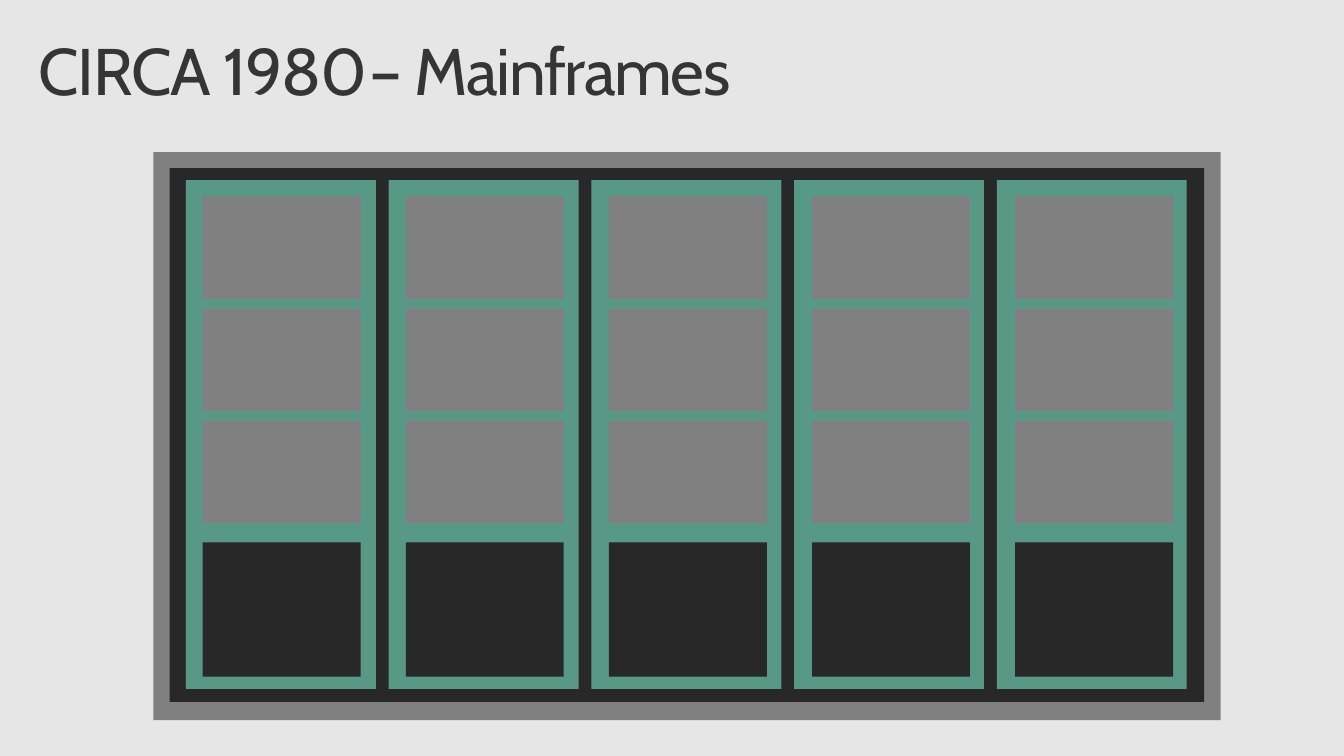
from pptx import Presentation
from pptx.dml.color import RGBColor
from pptx.enum.shapes import MSO_SHAPE
from pptx.util import Cm, Pt

RECTANGLE = MSO_SHAPE.RECTANGLE
BACKGROUND = RGBColor(0xE6, 0xE6, 0xE6)
INK = RGBColor(0x35, 0x35, 0x35)
GREY = RGBColor(0x80, 0x80, 0x80)
BLACK = RGBColor(0x28, 0x28, 0x28)
GREEN = RGBColor(0x57, 0x99, 0x85)

CABINETS = 5
DRIVES = 3


def add_title_part(page, text, left, top, width, height):
    box = page.shapes.add_textbox(Cm(left), Cm(top), Cm(width), Cm(height))
    frame = box.text_frame
    frame.word_wrap = True
    frame.margin_left = frame.margin_right = Cm(0.23)
    frame.margin_top = frame.margin_bottom = Cm(0.17)
    frame.text = text
    para = frame.paragraphs[0]
    para.line_spacing = 0.9
    span = para.runs[0]
    span.font.name = "Cabin"
    span.font.size = Pt(48)
    span.font.color.rgb = INK
    span._r.get_or_add_rPr().set("spc", "-100")


def add_block(group, color, left, top, width, height):
    block = group.shapes.add_shape(
        RECTANGLE, Cm(left), Cm(top), Cm(width), Cm(height))
    block.shadow.inherit = False
    block.fill.solid()
    block.fill.fore_color.rgb = color
    block.line.fill.background()


def add_title(page, left, top):
    add_title_part(page, "CIRCA 1980", left, top, 33.02, 2.54)
    add_title_part(page, "– Mainframes", left + 8.51, top, 18.16, 2.11)


def add_mainframe(page, left, top, width, height):
    group = page.shapes.add_group_shape()
    add_block(group, GREY, left, top, width, height)
    add_block(group, BLACK, left + 0.42, top + 0.41, width - 0.84, height - 0.88)
    for column in range(CABINETS):
        add_block(group, GREEN, left + 0.84 + 5.21 * column, top + 0.72, 4.88, 13.08)
        bay_left = left + 1.27 + 5.22 * column
        add_block(group, BLACK, bay_left, top + 10.03, 4.06, 3.45)
        for row in range(DRIVES):
            add_block(group, GREY, bay_left, top + 1.14 + 2.88 * row, 4.06, 2.64)


def main():
    deck = Presentation()
    deck.slide_width = Cm(34.54)
    deck.slide_height = Cm(19.43)
    page = deck.slides.add_slide(deck.slide_layouts[6])
    page.background.fill.solid()
    page.background.fill.fore_color.rgb = BACKGROUND
    add_title(page, 0.76, 0.81)
    add_mainframe(page, 3.94, 3.91, 27.43, 14.6)
    deck.save("out.pptx")


if __name__ == "__main__":
    main()
